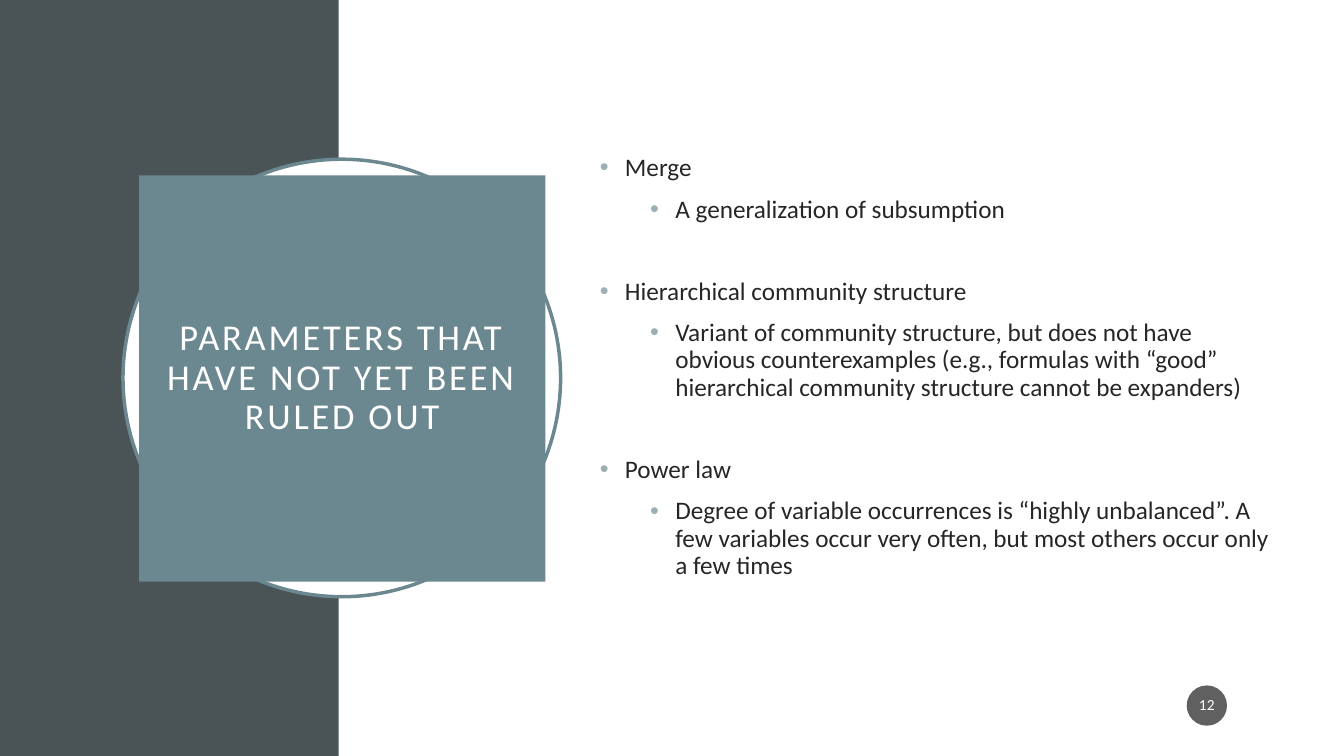
from dataclasses import dataclass
from typing import Optional

from lxml.etree import SubElement
from pptx import Presentation
from pptx.dml.color import RGBColor
from pptx.enum.shapes import MSO_SHAPE as Preset
from pptx.enum.text import MSO_ANCHOR as Anchor, PP_ALIGN as Align
from pptx.oxml.ns import qn
from pptx.util import Inches, Pt

FONT = "Calibri"
COLORS = {
    "slate": "4A5356",
    "teal": "6B8891",
    "bullet": "9BAFB5",
    "white": "FFFFFF",
    "ink": "262626",
    "badge": "1D1D1D",
}


@dataclass(frozen=True)
class Panel:
    preset: Preset
    left: float
    top: float
    width: float
    height: float
    fill: str
    line: Optional[str] = None
    alpha: int = 100


@dataclass(frozen=True)
class Topic:
    heading: str
    detail: str


SIDE_BAND = Panel(Preset.RECTANGLE, 0, 0, 3.36, 7.5, "slate")
RING = Panel(Preset.OVAL, 1.22, 1.58, 4.34, 4.34, "white", line="teal")
TITLE = Panel(Preset.RECTANGLE, 1.38, 1.74, 4.03, 4.03, "teal")
BADGE = Panel(Preset.OVAL, 11.77, 6.8, 0.4, 0.4, "badge", alpha=70)

TOPICS = [
    Topic("Merge", "A generalization of subsumption"),
    Topic(
        "Hierarchical community structure",
        "Variant of community structure, but does not have obvious "
        "counterexamples (e.g., formulas with “good” hierarchical "
        "community structure cannot be expanders)",
    ),
    Topic(
        "Power law",
        "Degree of variable occurrences is “highly unbalanced”. A few "
        "variables occur very often, but most others occur only a few times",
    ),
]


def color(name: str) -> RGBColor:
    return RGBColor.from_string(COLORS[name])


def add_panel(page, panel: Panel):
    box = page.shapes.add_shape(
        panel.preset,
        Inches(panel.left), Inches(panel.top),
        Inches(panel.width), Inches(panel.height),
    )
    box.shadow.inherit = False
    box.fill.solid()
    box.fill.fore_color.rgb = color(panel.fill)
    if panel.alpha < 100:
        tint = box.fill._xPr.find(".//" + qn("a:srgbClr"))
        SubElement(tint, qn("a:alpha"), val=str(panel.alpha * 1000))
    if panel.line:
        box.line.color.rgb = color(panel.line)
        box.line.width = Pt(2.5)
    else:
        box.line.fill.background()
    return box


def add_span(para, text: str, size: float, ink: str, tracking: float = 0) -> None:
    span = para.add_run()
    span.text = text
    span.font.name = FONT
    span.font.size = Pt(size)
    span.font.color.rgb = color(ink)
    if tracking:
        span.font._element.set("spc", str(int(tracking * 100)))


def add_label(box, text: str, size: float, inset_x: float, inset_y: float,
              tracking: float = 0, after: float = 0) -> None:
    frame = box.text_frame
    frame.word_wrap = True
    frame.vertical_anchor = Anchor.MIDDLE
    frame.margin_left = frame.margin_right = Inches(inset_x)
    frame.margin_top = frame.margin_bottom = Inches(inset_y)
    para = frame.paragraphs[0]
    para.alignment = Align.CENTER
    para.line_spacing = 0.9
    para.space_after = Pt(after)
    add_span(para, text, size, "white", tracking)


def add_bullet(para, text: str, level: int, before: float) -> None:
    para.level = level
    para.line_spacing = 0.9
    para.space_before = Pt(before)
    props = para._p.get_or_add_pPr()
    props.set("marL", str(Inches(0.38 + 0.5 * level)))
    props.set("indent", str(Inches(-0.25)))
    bullet_color = SubElement(props, qn("a:buClr"))
    SubElement(bullet_color, qn("a:srgbClr"), val=COLORS["bullet"])
    SubElement(props, qn("a:buFont"), typeface="Arial")
    SubElement(props, qn("a:buChar"), char="•")
    add_span(para, text, 18, "ink")


def add_topics(page, topics: list[Topic]) -> None:
    box = page.shapes.add_textbox(
        Inches(5.72), Inches(1.2), Inches(6.99), Inches(4.89)
    )
    frame = box.text_frame
    frame.word_wrap = True
    frame.vertical_anchor = Anchor.MIDDLE
    for index, topic in enumerate(topics):
        heading = frame.add_paragraph() if index else frame.paragraphs[0]
        add_bullet(heading, topic.heading, 0, 39.5 if index else 10)
        add_bullet(frame.add_paragraph(), topic.detail, 1, 10)


def main() -> None:
    deck = Presentation()
    deck.slide_width, deck.slide_height = Inches(13.33), Inches(7.5)
    page = deck.slides.add_slide(deck.slide_layouts[6])

    # Background band and ring
    add_panel(page, SIDE_BAND)
    add_panel(page, RING)

    # Title block
    add_label(add_panel(page, TITLE),
              "PARAMETERS THAT HAVE NOT YET BEEN RULED OUT",
              26, 0.2, 0.2, tracking=2)

    # Bulleted topics
    add_topics(page, TOPICS)

    # Slide number badge
    add_label(add_panel(page, BADGE), "12", 11, 0.02, 0.05, after=6)

    deck.save("out.pptx")


if __name__ == "__main__":
    main()
